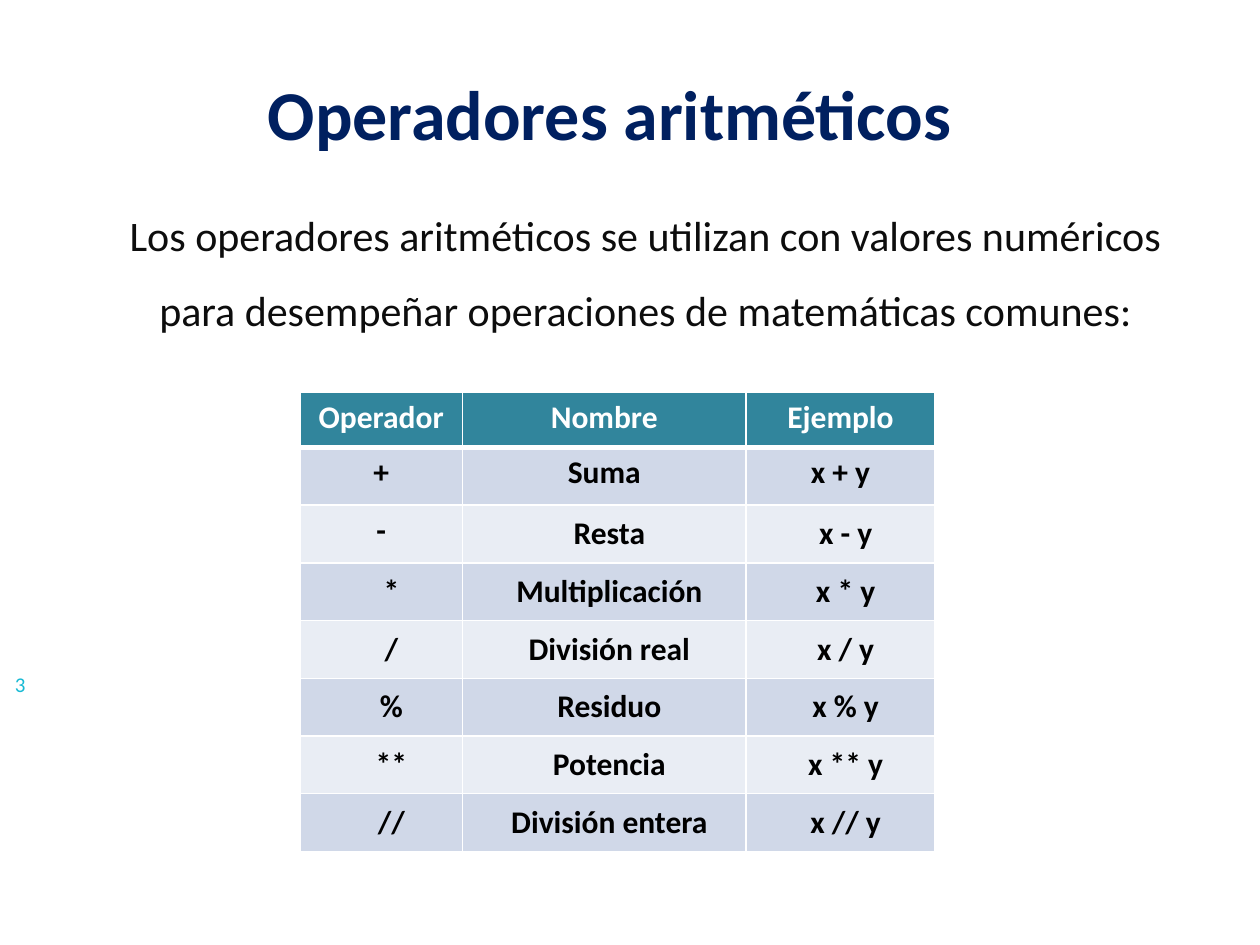
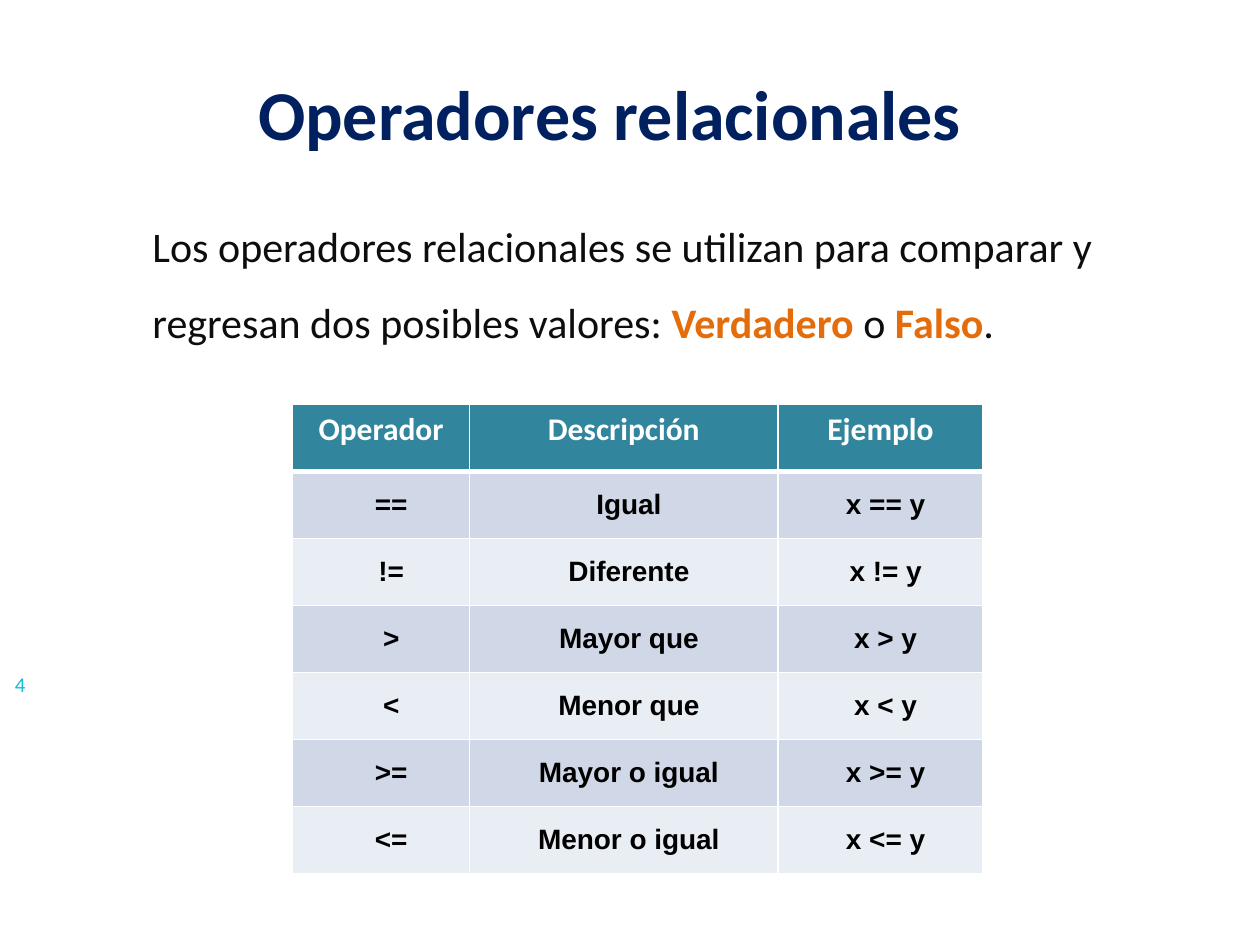
from lxml import etree
from pptx import Presentation
from pptx import util as u
from pptx.dml.color import RGBColor
from pptx.enum import text
from pptx.oxml import ns

Pt = u.Pt

# Shared colours and text formats
NAVY = RGBColor(0x00, 0x20, 0x60)
TEAL = RGBColor(0x31, 0x85, 0x9C)
CYAN = RGBColor(0x18, 0xBA, 0xD4)
ORANGE = RGBColor(0xE4, 0x6C, 0x0A)
INK = RGBColor(0x0D, 0x0D, 0x0D)
BLACK = RGBColor(0x00, 0x00, 0x00)
WHITE = RGBColor(0xFF, 0xFF, 0xFF)
BANDS = [RGBColor(0xE9, 0xED, 0xF4), RGBColor(0xD0, 0xD8, 0xE8)]

TITLE = {"name": "Calibri", "size": Pt(40), "bold": True, "color": NAVY}
INTRO = {"name": "Calibri", "size": Pt(24), "bold": False, "color": INK}
ACCENT = {**INTRO, "bold": True, "color": ORANGE}
NUMBER = {"name": "Calibri", "size": Pt(12), "bold": False, "color": CYAN}
HEADER = {"name": "Calibri", "size": Pt(18), "bold": True, "color": WHITE}
CALIBRI_CELL = {**HEADER, "color": BLACK}
ARIAL_CELL = {**CALIBRI_CELL, "name": "Arial", "size": Pt(16)}

LEFT, CENTER = text.PP_ALIGN.LEFT, text.PP_ALIGN.CENTER
TOP, MIDDLE = text.MSO_ANCHOR.TOP, text.MSO_ANCHOR.MIDDLE

SLIDES = [
    {
        "title": "Operadores aritméticos",
        "number": "3",
        "intro": [("Los operadores aritméticos se utilizan con valores numéricos "
                   "para desempeñar operaciones de matemáticas comunes:", INTRO)],
        "intro_box": (16.5, 111.6, 649.5, 73.4),
        "intro_align": CENTER, "intro_anchor": MIDDLE, "intro_indent": 55.2,
        "table_at": (171.4, 223.9),
        "columns": [92.9, 162, 108],
        "header_height": 31.7, "row_height": 33,
        "cell_format": CALIBRI_CELL,
        "top_cells": [(1, 0), (1, 1), (1, 2), (2, 0)],
        "rows": [
            ("Operador", "Nombre", "Ejemplo"),
            ("+", "Suma", "x + y"),
            ("-", "Resta", "x - y"),
            ("*", "Multiplicación", "x * y"),
            ("/", "División real", "x / y"),
            ("%", "Residuo", "x % y"),
            ("**", "Potencia", "x ** y"),
            ("//", "División entera", "x // y"),
        ],
    },
    {
        "title": "Operadores relacionales",
        "number": "4",
        "intro": [("Los operadores relacionales se utilizan para comparar y "
                   "regresan dos posibles valores: ", INTRO),
                  ("Verdadero", ACCENT), (" o ", INTRO),
                  ("Falso", ACCENT), (".", INTRO)],
        "intro_box": (86.4, 111.6, 580.3, 96.5),
        "intro_align": LEFT, "intro_anchor": TOP, "intro_indent": 0.7,
        "table_at": (167.2, 231.2),
        "columns": [101.2, 176.2, 117.2],
        "header_height": 38.3, "row_height": 38.3,
        "cell_format": ARIAL_CELL,
        "top_cells": [],
        "rows": [
            ("Operador", "Descripción", "Ejemplo"),
            ("==", "Igual", "x == y"),
            ("!=", "Diferente", "x != y"),
            (">", "Mayor que", "x > y"),
            ("<", "Menor que", "x < y"),
            (">=", "Mayor o igual", "x >= y"),
            ("<=", "Menor o igual", "x <= y"),
        ],
    },
]


def write(frame, spans, align, indent=0, spacing=1.0):
    """Fill the first paragraph with formatted spans, without a bullet."""
    para = frame.paragraphs[0]
    para.alignment = align
    para.line_spacing = spacing
    para.space_before = Pt(0)
    properties = para._p.get_or_add_pPr()
    properties.set("marL", str(Pt(indent)))
    properties.set("indent", "0")
    etree.SubElement(properties, ns.qn("a:buNone"))
    for words, style in spans:
        span = para.add_run()
        span.text = words
        for key, value in style.items():
            if key == "color":
                span.font.color.rgb = value
            else:
                setattr(span.font, key, value)


def place(box, bounds, anchor):
    """Move a text box or placeholder and clear its insets."""
    for key, value in zip(("left", "top", "width", "height"), bounds):
        setattr(box, key, Pt(value))
    frame = box.text_frame
    settings = {"word_wrap": True, "auto_size": text.MSO_AUTO_SIZE.NONE,
                "vertical_anchor": anchor, "margin_left": 0, "margin_right": 0,
                "margin_top": 0, "margin_bottom": 0}
    for key, value in settings.items():
        setattr(frame, key, value)
    return frame


deck = Presentation()
deck.slide_width, deck.slide_height = Pt(720), Pt(540)

for content in SLIDES:
    page = deck.slides.add_slide(deck.slide_layouts[1])

    # Title, introduction and page number
    frame = place(page.shapes.title, (86.4, 40.3, 523.4, 54), TOP)
    write(frame, [(content["title"], TITLE)], CENTER, 0.7)

    frame = place(page.placeholders[1], content["intro_box"], content["intro_anchor"])
    write(frame, content["intro"], content["intro_align"], content["intro_indent"], 1.5)

    number_box = page.shapes.add_textbox(0, 0, 0, 0)
    frame = place(number_box, (6.5, 383, 16.6, 15.8), MIDDLE)
    write(frame, [(content["number"], NUMBER)], LEFT, 2)

    # Operator table
    rows, columns = content["rows"], content["columns"]
    heights = [content["header_height"]] + [content["row_height"]] * (len(rows) - 1)
    left, top = content["table_at"]
    table = page.shapes.add_table(len(rows), len(columns), Pt(left), Pt(top),
                                  Pt(sum(columns)), Pt(sum(heights))).table
    for column, width in zip(table.columns, columns):
        column.width = Pt(width)

    for r, values in enumerate(rows):
        table.rows[r].height = Pt(heights[r])
        for c, value in enumerate(values):
            cell = table.cell(r, c)

            # White borders, thicker under the header
            properties = cell._tc.get_or_add_tcPr()
            widths = {"L": 1, "R": 1, "T": 3 if r == 1 else 1, "B": 3 if r == 0 else 1}
            for side, width in widths.items():
                line = etree.SubElement(properties, ns.qn("a:ln" + side), w=str(Pt(width)))
                fill = etree.SubElement(line, ns.qn("a:solidFill"))
                etree.SubElement(fill, ns.qn("a:srgbClr"), val=str(WHITE))
            cell.fill.solid()
            cell.fill.fore_color.rgb = BANDS[r % 2] if r else TEAL

            # Header and a few cells sit at the top with the usual insets
            indent = 0
            if r and (r, c) not in content["top_cells"]:
                indent = 5.8 if c else 11.5
                settings = {"vertical_anchor": MIDDLE, "margin_left": 0, "margin_right": 0,
                            "margin_top": 0, "margin_bottom": 0}
                for key, setting in settings.items():
                    setattr(cell, key, setting)
            style = content["cell_format"] if r else HEADER
            write(cell.text_frame, [(value, style)], CENTER, indent)

deck.save("out.pptx")
